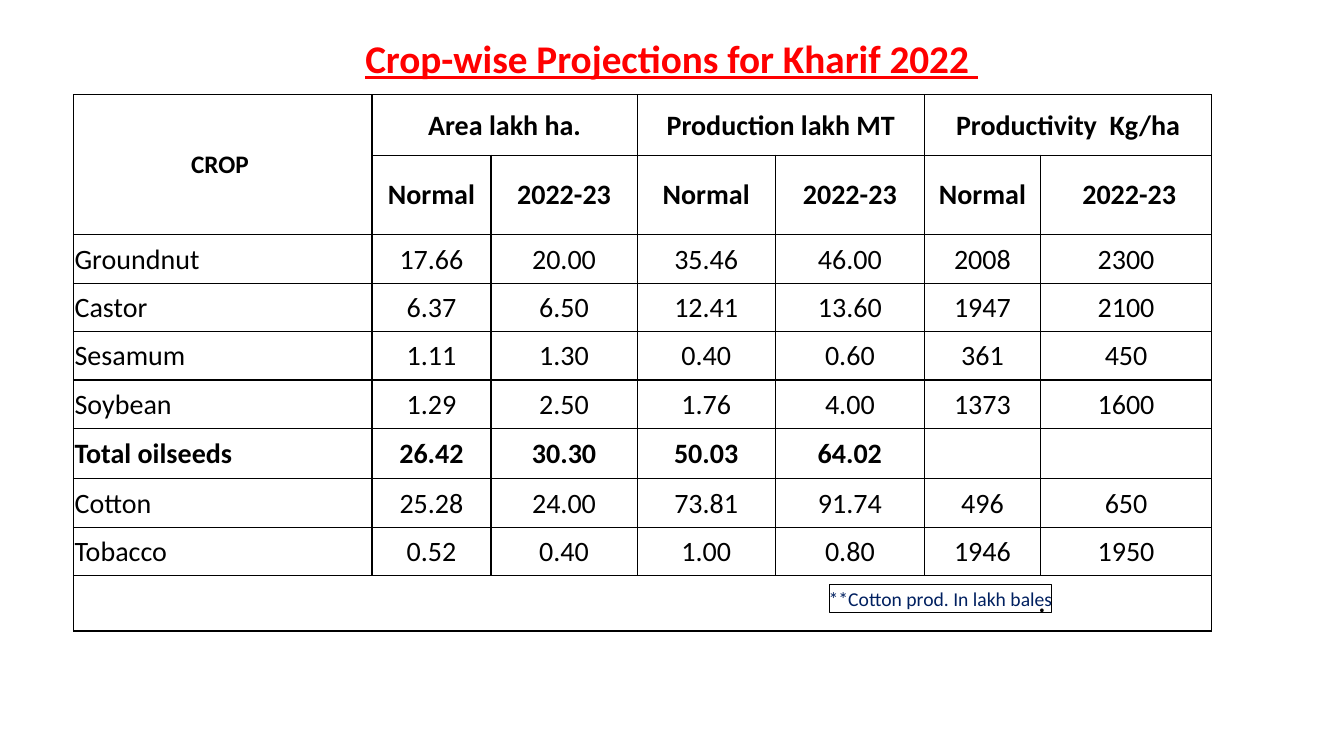
"""Build the Kharif 2022 crop projections slide."""
from lxml.etree import SubElement
from pptx import Presentation
from pptx.dml.color import RGBColor as RGB
from pptx.enum.shapes import MSO_SHAPE as SHAPE
from pptx.enum.text import MSO_ANCHOR as ANCHOR, PP_ALIGN as ALIGN
from pptx.oxml.ns import qn
from pptx.util import Inches, Pt

COLORS = {"title": "FF0000", "text": "000000", "line": "000000", "note": "002060"}
COLS = [2.96, 1.18, 1.45, 1.37, 1.48, 1.15, 1.32]
ROWS = [0.6, 0.79] + [0.48] * 4 + [0.5] + [0.48] * 2 + [0.55]
DATA = [
    ["CROP ", "Area lakh ha.", "", "Production lakh MT", "", "Productivity  Kg/ha", ""],
    ["", "Normal", "2022-23", "Normal", "2022-23", "Normal", " 2022-23"],
    ["Groundnut", "17.66", "20.00", "35.46", "46.00", "2008", "2300"],
    ["Castor", "6.37", "6.50", "12.41", "13.60", "1947", "2100"],
    ["Sesamum", "1.11", "1.30", "0.40", "0.60", "361", "450"],
    ["Soybean", "1.29", "2.50", "1.76", "4.00", "1373", "1600"],
    ["Total oilseeds", "26.42", "30.30", "50.03", "64.02", "", ""],
    ["Cotton", "25.28", "24.00", "73.81", "91.74", "496", "650"],
    ["Tobacco", "0.52", "0.40", "1.00", "0.80", "1946", "1950"],
    [".", "", "", "", "", "", ""],
]
TOTAL, LAST = 6, len(ROWS) - 1
MERGES = [(0, 0, 1, 0), (0, 1, 0, 2), (0, 3, 0, 4), (0, 5, 0, 6), (LAST, 0, LAST, 6)]


def add_text(tf, text, size, color, bold=False, align=ALIGN.CENTER):
    p = tf.paragraphs[0]
    p.alignment = align
    r = p.add_run()
    r.text = text
    r.font.name = "Calibri"
    r.font.size = Pt(size)
    r.font.bold = bold
    r.font.color.rgb = RGB.from_string(COLORS[color])
    return r


def add_borders(cell):
    tcPr = cell._tc.get_or_add_tcPr()
    for side in ("a:lnL", "a:lnR", "a:lnT", "a:lnB"):
        ln = SubElement(tcPr, qn(side), w=str(Pt(1)))
        SubElement(SubElement(ln, qn("a:solidFill")), qn("a:srgbClr"), val=COLORS["line"])


prs = Presentation()
prs.slide_width, prs.slide_height = Inches(13.33), Inches(7.5)
s = prs.slides.add_slide(prs.slide_layouts[5])

title = s.shapes.title
title.left, title.top, title.width, title.height = map(Inches, (3.48, 0.29, 6.36, 0.57))
tf = title.text_frame
tf.word_wrap = False
tf.vertical_anchor = ANCHOR.TOP
add_text(tf, "Crop-wise Projections for Kharif 2022 ", 28, "title", True).font.underline = True

frame = s.shapes.add_table(len(ROWS), len(COLS), Inches(0.73), Inches(0.94),
                           Inches(sum(COLS)), Inches(sum(ROWS)))
table = frame.table
table.first_row = table.horz_banding = False
for column, width in zip(table.columns, COLS):
    column.width = Inches(width)
for row, height in zip(table.rows, ROWS):
    row.height = Inches(height)

for i, values in enumerate(DATA):
    for j, value in enumerate(values):
        cell = table.cell(i, j)
        add_borders(cell)
        cell.fill.background()
        cell.vertical_anchor = ANCHOR.MIDDLE
        side, top, bottom = (0.06, 0.03, 0.03) if i == 1 else (0.01, 0.01, 0)
        cell.margin_left = cell.margin_right = Inches(side)
        cell.margin_top, cell.margin_bottom = Inches(top), Inches(bottom)
        if value:
            size = 18 if j == 0 and i in (0, LAST) else 20
            align = ALIGN.RIGHT if i == LAST else ALIGN.LEFT if j == 0 and i > 1 else ALIGN.CENTER
            add_text(cell.text_frame, value, size, "text", i in (0, 1, TOTAL, LAST), align)
for top, left, bottom, right in MERGES:
    table.cell(top, left).merge(table.cell(bottom, right))
table.cell(LAST, 0).margin_right = Inches(1.65)

note = s.shapes.add_shape(SHAPE.RECTANGLE, *map(Inches, (8.23, 5.8, 2.2, 0.28)))
note.shadow.inherit = False
note.fill.background()
note.line.color.rgb = RGB.from_string(COLORS["line"])
note.line.width = Pt(0.75)
tf = note.text_frame
tf.word_wrap = False
tf.vertical_anchor = ANCHOR.MIDDLE
add_text(tf, "**Cotton prod. In lakh bales", 14, "note")

prs.save("out.pptx")
